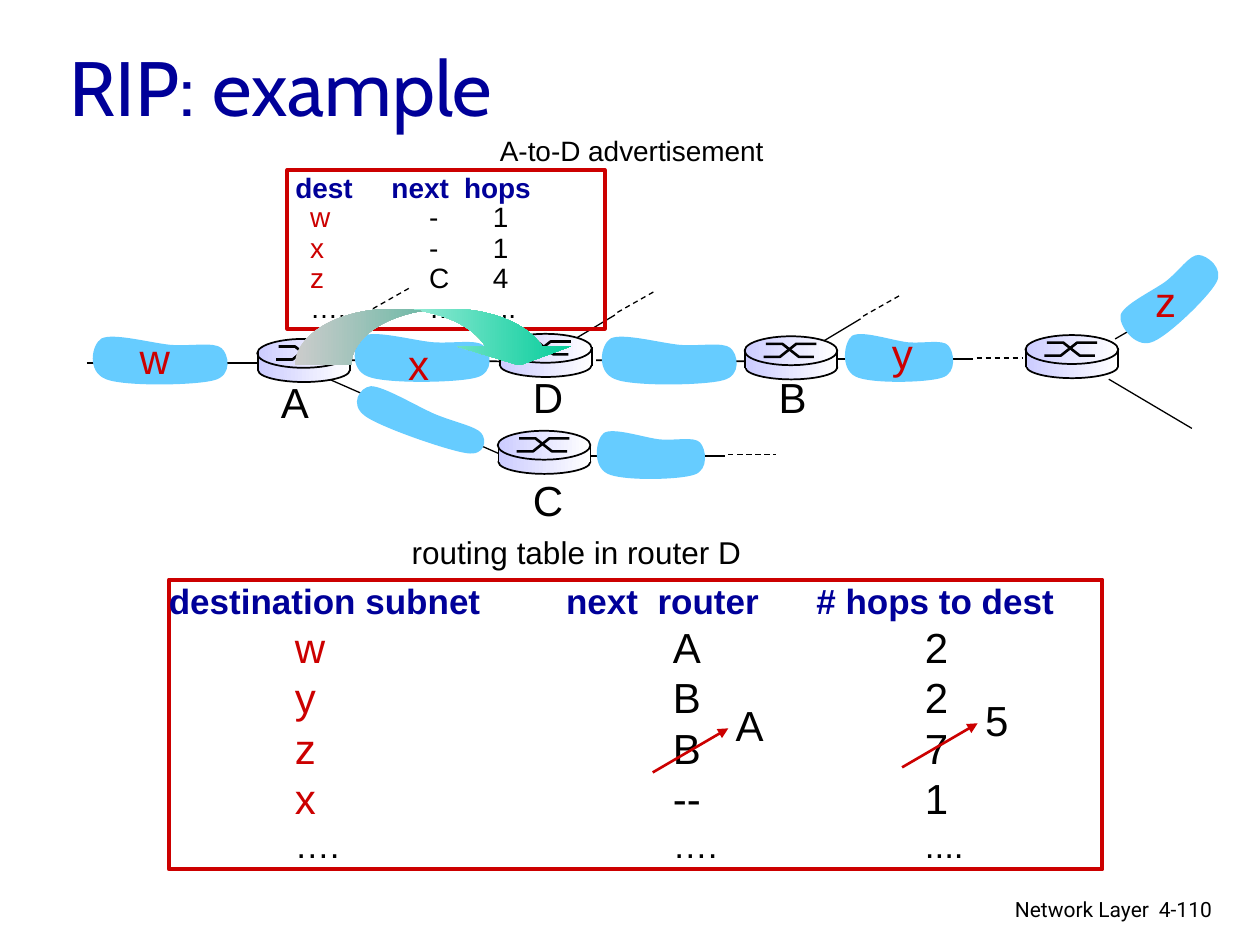
from lxml.etree import SubElement
from pptx import Presentation
from pptx.dml.color import RGBColor
from pptx.enum.dml import MSO_LINE
from pptx.enum.shapes import MSO_CONNECTOR, MSO_SHAPE
from pptx.enum.text import MSO_ANCHOR, PP_ALIGN
from pptx.oxml.ns import qn
from pptx.util import Pt

COLORS = {"black": "000000", "navy": "000099", "red": "CC0000", "cloud": "66CCFF",
          "lilac": "CCCCFF", "white": "FFFFFF", "green": "00CC99"}

TITLE = ("RIP: example", (32.4, 15.1, 310.3, 67.7))
FOOTERS = [("Network Layer", (435.6, 509, 228.2, 22.3), PP_ALIGN.RIGHT),
           ("4-110", (655.2, 509, 53.3, 21.6), PP_ALIGN.LEFT)]
CAPTIONS = [("routing table in router D", 18, (228.2, 301, 202.3, 28.8)),
            ("A-to-D advertisement", 16, (278.6, 72.7, 165.6, 26.6))]
SUBNET_LABELS = [("w", 72.7, 186.5, 31.7), ("x", 226.1, 190.1, 26.6),
                 ("y", 502.6, 183.6, 26.6), ("z", 653, 154.1, 26.6)]
ROUTER_LABELS = [("A", 153.4, 211.7, 30.2), ("C", 297.4, 267.8, 31.7),
                 ("D", 297.4, 208.8, 31.7), ("B", 437.8, 208.8, 30.2)]
CHANGES = [("A", (373, 441.4), (413.3, 396, 30.2, 36)),
           ("5", (515.5, 438.5), (555.8, 393.1, 28.1, 36))]
CHANGE_STEP = (43.2, -25.2)

LINKS = [(199.4, 205.9, 296.6, 206.6, 1), (340.6, 205.9, 438.5, 206.6, 1),
         (49.7, 207.4, 147.6, 207.4, 1), (478.8, 205.2, 555.8, 205.2, 0.75),
         (637.2, 193.7, 684.7, 166.3, 0.75), (633.6, 216.7, 681.1, 244.8, 0.75),
         (186.5, 216, 285.1, 259.2, 0.75), (337, 260.6, 414, 260.6, 0.75)]
DASHED_LINKS = [(558, 204.5, 584.6, 204.5), (416.2, 259.9, 443.5, 259.9)]
BRANCH_STARTS = [(466.6, 197.3), (326.2, 195.1), (186.5, 193)]
CLOUDS = [(199.4, 188.6, 83.5, 30.2, 0), (49.7, 190.1, 83.5, 30.2, 0),
          (340.6, 190.1, 83.5, 30.2, 0), (480.2, 188.6, 67, 30.2, 0),
          (338.4, 244.1, 67, 30.2, 0), (198.7, 229, 83.5, 22.3, 19.7),
          (634.3, 154.8, 68.4, 30.2, 316.8)]
CLOUD_CURVE = [(57, 23), (43, 19), (18, 0), (10, 11), (3, 23), (0, 74), (13, 88), (25, 102),
               (74, 100), (87, 90), (100, 81), (97, 40), (92, 29), (87, 17), (71, 26), (57, 23)]
ROUTERS = [(285.2, 190.8), (425.5, 192.2), (586, 191.5), (284.4, 246.2), (147, 193.7)]
ROUTER_BODY = [(MSO_SHAPE.OVAL, (0.4, 10.9, 52.6, 13.7), True),
               (MSO_SHAPE.RECTANGLE, (0.4, 9.4, 53, 8.6), False),
               (MSO_SHAPE.OVAL, (0, 0, 53, 16.5), True)]
ROUTER_SYMBOL = [[(10.8, 11.7), (20.2, 11.7), (29.5, 4.3), (41, 4.3)],
                 [(12.2, 4.3), (21.6, 4.3), (31, 11.7), (39.6, 11.7)]]
ROUTER_SIDES = [(0.4, 7.2, 0.4, 18), (53, 7.6, 53, 18.4)]

ROUTING_TABLE = {
    "box": (96.5, 331.2, 533.5, 165.6), "spacing": 1.0, "size": 24, "header_size": 20,
    "last_size": 20, "header_tabs": (0, 227, 370), "tabs": (72, 288, 432),
    "header": ("destination subnet", "next  router", "# hops to dest"),
    "rows": [("w", "A", "2"), ("y", "B", "2"), ("z", "B", "7"), ("x", "--", "1"),
             ("….", "….", "....")]}
ADVERTISEMENT = {
    "box": (164.2, 97.2, 181.4, 90.7), "spacing": 0.9, "size": 16, "header_size": 16,
    "last_size": 16, "header_tabs": (4.5, 59.5, 101), "tabs": (13, 81, 117.5),
    "header": ("dest", "next", "hops"),
    "rows": [("w", "-", "1"), ("x", "-", "1"), ("z", "C", "4"), ("….", "…", "...")]}


def points(values):
    return [Pt(value) for value in values]


def color(name):
    return RGBColor.from_string(COLORS[name])


def add_run(paragraph, text, size, color_name="black", font_name="Arial", bold=False):
    run = paragraph.add_run()
    run.text = text
    for name, value in {"name": font_name, "size": Pt(size), "bold": bold}.items():
        setattr(run.font, name, value)
    run.font.color.rgb = color(color_name)


def add_text(text, box, size, color_name="black", font_name="Arial",
             alignment=PP_ALIGN.LEFT, wrap=False):
    frame = slide.shapes.add_textbox(*points(box)).text_frame
    frame.word_wrap = wrap
    frame.paragraphs[0].alignment = alignment
    add_run(frame.paragraphs[0], text, size, color_name, font_name)


def add_line(shapes, ends, width=0.75, color_name="black", dashed=False, arrow=False):
    connector = shapes.add_connector(MSO_CONNECTOR.STRAIGHT, *points(ends))
    connector.line.width = Pt(width)
    connector.line.color.rgb = color(color_name)
    if dashed:
        connector.line.dash_style = MSO_LINE.DASH
    properties = connector._element.spPr
    if arrow:
        SubElement(properties.find(qn("a:ln")), qn("a:tailEnd"), type="triangle")
    SubElement(properties, qn("a:effectLst"))


def add_outline(shapes, vertices, close):
    start, *others = [points(vertex) for vertex in vertices]
    builder = shapes.build_freeform(*start)
    builder.add_line_segments(others, close=close)
    shape = builder.convert_to_shape()
    shape.shadow.inherit = False
    return shape


def add_gradient_shape(shapes, kind, box, first, last):
    shape = shapes.add_shape(kind, *points(box))
    shape.shadow.inherit = False
    shape.fill.gradient()
    shape.fill.gradient_angle = 0
    for stop, name in zip(shape.fill.gradient_stops, (first, last)):
        stop.color.rgb = color(name)
    shape.line.fill.background()
    return shape


def bend_segments(shape):
    segments = list(shape._element.iter(qn("a:lnTo")))
    for index in range(0, len(CLOUD_CURVE) - 1, 3):
        first, *others = segments[index:index + 3]
        first.tag = qn("a:cubicBezTo")
        for segment in others:
            first.append(segment[0])
            segment.getparent().remove(segment)


def add_cloud(left, top, width, height, rotation):
    vertices = [(left + x * width / 100, top + y * height / 100) for x, y in CLOUD_CURVE]
    cloud = add_outline(slide.shapes, vertices, True)
    bend_segments(cloud)
    cloud.fill.solid()
    cloud.fill.fore_color.rgb = color("cloud")
    cloud.line.fill.background()
    cloud.rotation = rotation


def add_router(left, top):
    shapes = slide.shapes.add_group_shape().shapes
    for kind, (x, y, width, height), outlined in ROUTER_BODY:
        body = add_gradient_shape(shapes, kind, (left + x, top + y, width, height),
                                  "lilac", "white")
        if outlined:
            body.line.color.rgb = color("black")
            body.line.width = Pt(1)
    for stroke in ROUTER_SYMBOL:
        symbol = add_outline(shapes, [(left + x, top + y) for x, y in stroke], False)
        symbol.fill.background()
        symbol.line.color.rgb = color("black")
        symbol.line.width = Pt(1.5)
    for x1, y1, x2, y2 in ROUTER_SIDES:
        add_line(shapes, (left + x1, top + y1, left + x2, top + y2), 1)


def add_row(paragraph, cells, tabs, spacing, size, color_names, bold=False):
    paragraph.alignment = PP_ALIGN.LEFT
    paragraph.line_spacing = spacing
    tab_list = SubElement(paragraph._p.get_or_add_pPr(), qn("a:tabLst"))
    for position, cell, color_name in zip(tabs, cells, color_names):
        if position:
            SubElement(tab_list, qn("a:tab"), pos=str(Pt(position)), algn="l")
        add_run(paragraph, ("\t" if position else "") + cell, size, color_name, bold=bold)


def add_route_box(table):
    box = slide.shapes.add_shape(MSO_SHAPE.RECTANGLE, *points(table["box"]))
    box.shadow.inherit = False
    box.fill.background()
    box.line.color.rgb = color("red")
    box.line.width = Pt(2.25)
    frame = box.text_frame
    for name in ("margin_left", "margin_top", "margin_right", "margin_bottom"):
        setattr(frame, name, 0)
    frame.vertical_anchor = MSO_ANCHOR.TOP
    add_row(frame.paragraphs[0], table["header"], table["header_tabs"], 1.0,
            table["header_size"], ["navy"] * 3, True)
    *routes, last = table["rows"]
    for cells in routes:
        add_row(frame.add_paragraph(), cells, table["tabs"], table["spacing"], table["size"],
                ["red", "black", "black"])
    add_row(frame.add_paragraph(), last, table["tabs"], table["spacing"], table["last_size"],
            ["black"] * 3)


presentation = Presentation()
presentation.slide_width, presentation.slide_height = Pt(720), Pt(540)
slide = presentation.slides.add_slide(presentation.slide_layouts[5])

title = slide.shapes.title
title.left, title.top, title.width, title.height = points(TITLE[1])
title.text_frame.vertical_anchor = MSO_ANCHOR.MIDDLE
title.text_frame.paragraphs[0].alignment = PP_ALIGN.LEFT
add_run(title.text_frame.paragraphs[0], TITLE[0], 44, "navy", "Cabin")

for text, box, alignment in FOOTERS:
    add_text(text, box, 12, font_name="Roboto", alignment=alignment, wrap=True)
for *ends, width in LINKS:
    add_line(slide.shapes, ends, width)
for ends in DASHED_LINKS:
    add_line(slide.shapes, ends, dashed=True)
for x, y in BRANCH_STARTS:
    add_line(slide.shapes, (x, y, x + 25.2, y - 15.1))
    add_line(slide.shapes, (x + 26.6, y - 16.6, x + 48.2, y - 28.8), dashed=True)
for cloud in CLOUDS:
    add_cloud(*cloud)
for labels, color_name in ((SUBNET_LABELS, "red"), (ROUTER_LABELS, "black")):
    for text, left, top, width in labels:
        add_text(text, (left, top, width, 36), 24, color_name)
for position in ROUTERS:
    add_router(*position)

add_route_box(ROUTING_TABLE)
for text, (x, y), box in CHANGES:
    add_line(slide.shapes, (x, y, x + CHANGE_STEP[0], y + CHANGE_STEP[1]), 1.5, "red", arrow=True)
    add_text(text, box, 24)
add_route_box(ADVERTISEMENT)
for text, size, box in CAPTIONS:
    add_text(text, box, size)
arrow = add_gradient_shape(slide.shapes, MSO_SHAPE.CURVED_DOWN_ARROW,
                           (168.5, 176.4, 160.6, 32.4), "white", "green")
for index, value in enumerate((0.996, 1.992, 0.333)):
    arrow.adjustments[index] = value

presentation.save("out.pptx")
